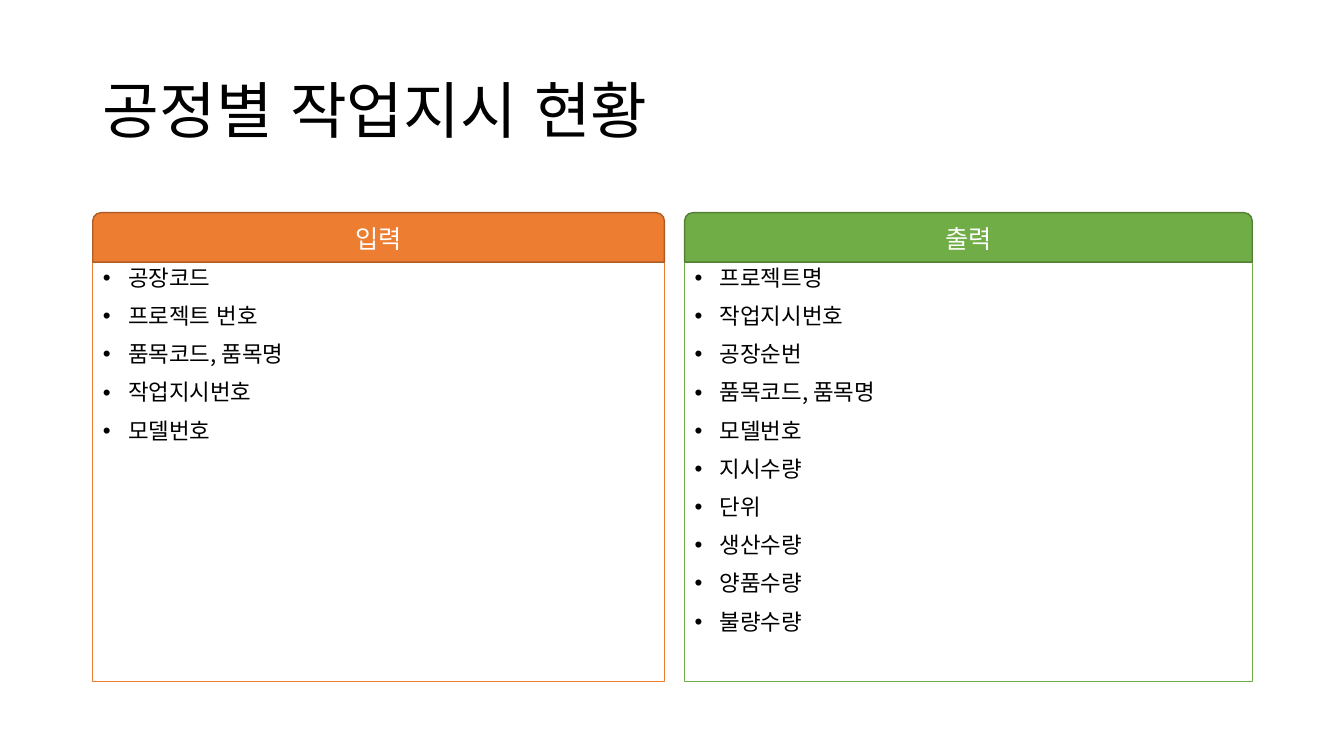
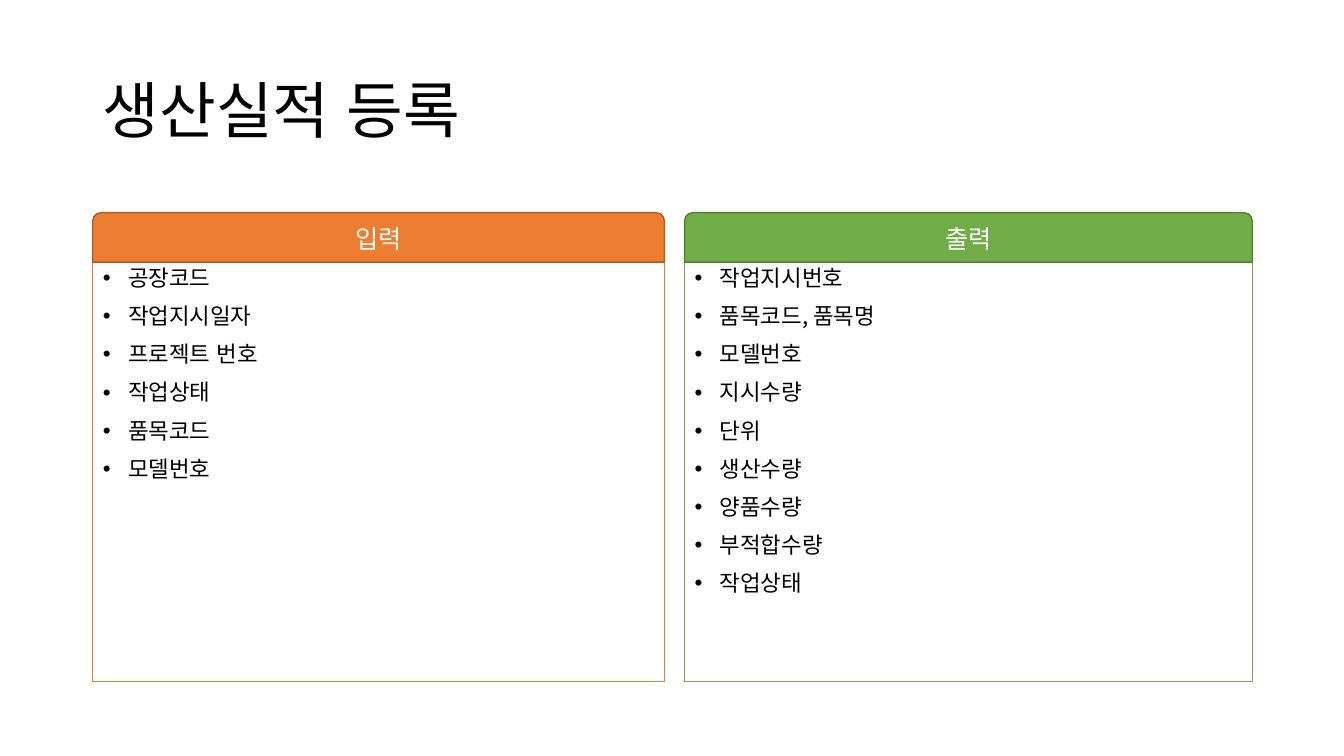
from lxml.etree import SubElement
from pptx import Presentation
from pptx.dml.color import RGBColor
from pptx.enum.lang import MSO_LANGUAGE_ID as Language
from pptx.enum.shapes import MSO_SHAPE as Shape
from pptx.enum.text import MSO_ANCHOR as Anchor, MSO_AUTO_SIZE as AutoSize, PP_ALIGN as Align
from pptx.oxml.ns import qn
from pptx.util import Inches, Pt

# Content: title, input items, output items
SLIDES = [
    ("공정별 작업지시 현황",
     ["공장코드", "프로젝트 번호", "품목코드, 품목명", "작업지시번호", "모델번호"],
     ["프로젝트명", "작업지시번호", "공장순번", "품목코드, 품목명", "모델번호",
      "지시수량", "단위", "생산수량", "양품수량", "불량수량"]),
    ("생산실적 등록",
     ["공장코드", "작업지시일자", "프로젝트 번호", "작업상태", "품목코드", "모델번호"],
     ["작업지시번호", "품목코드, 품목명", "모델번호", "지시수량", "단위",
      "생산수량", "양품수량", "부적합수량", "작업상태"]),
]

# Shared style
FONT = "Noto Sans CJK KR"
COLORS = {
    "text": "000000", "white": "FFFFFF",
    "input": "ED7D31", "input_edge": "AF5C24",
    "output": "70AD47", "output_edge": "538035",
}
LEFT, WIDTH, GAP = 0.92, 11.5, 0.2
INPUT_WIDTH = 5.67
OUTPUT_WIDTH = WIDTH - INPUT_WIDTH - GAP
HEADER_TOP, HEADER_HEIGHT, LIST_HEIGHT = 2.11, 0.49, 4.16
# Heading, colour key, left, width
PANELS = [
    ("입력", "input", LEFT, INPUT_WIDTH),
    ("출력", "output", LEFT + INPUT_WIDTH + GAP, OUTPUT_WIDTH),
]
INDENT = Inches(0.25)


def color(key):
    return RGBColor.from_string(COLORS[key])


def place(box, left, top, width, height):
    box.left, box.top = Inches(left), Inches(top)
    box.width, box.height = Inches(width), Inches(height)


def paint(box, fill, line):
    box.fill.solid()
    box.fill.fore_color.rgb = color(fill)
    box.line.color.rgb = color(line)
    box.line.width = Pt(1)


def add_span(para, text, size, key="text"):
    span = para.add_run()
    span.text = text
    span.font.size = Pt(size)
    span.font.color.rgb = color(key)
    span.font.name = FONT
    span.font.language_id = Language.KOREAN
    # East Asian text takes its own typeface entry
    SubElement(span.font._element, qn("a:ea")).set("typeface", FONT)


def add_bullet(para):
    props = para._p.get_or_add_pPr()
    props.set("marL", str(INDENT))
    props.set("indent", str(-INDENT))
    SubElement(props, qn("a:buFont")).set("typeface", "Arial")
    SubElement(props, qn("a:buChar")).set("char", "•")


def fill_title(title, text):
    place(title, LEFT, 0.4, WIDTH, 1.45)
    frame = title.text_frame
    frame.auto_size = AutoSize.NONE
    frame.vertical_anchor = Anchor.MIDDLE
    para = frame.paragraphs[0]
    para.alignment = Align.LEFT
    para.line_spacing = 0.9
    add_span(para, text, 44)


def fill_list(body, items, key, left, width):
    place(body, left, HEADER_TOP + HEADER_HEIGHT, width, LIST_HEIGHT)
    paint(body, "white", key)
    frame = body.text_frame
    frame.auto_size = AutoSize.NONE
    frame.vertical_anchor = Anchor.TOP
    for number, item in enumerate(items):
        para = frame.add_paragraph() if number else frame.paragraphs[0]
        para.line_spacing = 0.9
        para.space_before = Pt(10)
        add_bullet(para)
        add_span(para, item, 16)


def add_header(page, heading, key, left, width):
    header = page.shapes.add_shape(
        Shape.ROUND_2_SAME_RECTANGLE, Inches(left), Inches(HEADER_TOP),
        Inches(width), Inches(HEADER_HEIGHT))
    header.shadow.inherit = False
    paint(header, key, key + "_edge")
    frame = header.text_frame
    frame.vertical_anchor = Anchor.MIDDLE
    para = frame.paragraphs[0]
    para.alignment = Align.CENTER
    add_span(para, heading, 18, "white")


def main():
    deck = Presentation()
    deck.slide_width, deck.slide_height = Inches(13.33), Inches(7.5)
    two_content = deck.slide_layouts[3]
    for title, *lists in SLIDES:
        page = deck.slides.add_slide(two_content)
        fill_title(page.shapes.title, title)
        bodies = list(page.placeholders)[1:]
        for body, items, (heading, *panel) in zip(bodies, lists, PANELS):
            fill_list(body, items, *panel)
            add_header(page, heading, *panel)
    deck.save("out.pptx")


if __name__ == "__main__":
    main()
